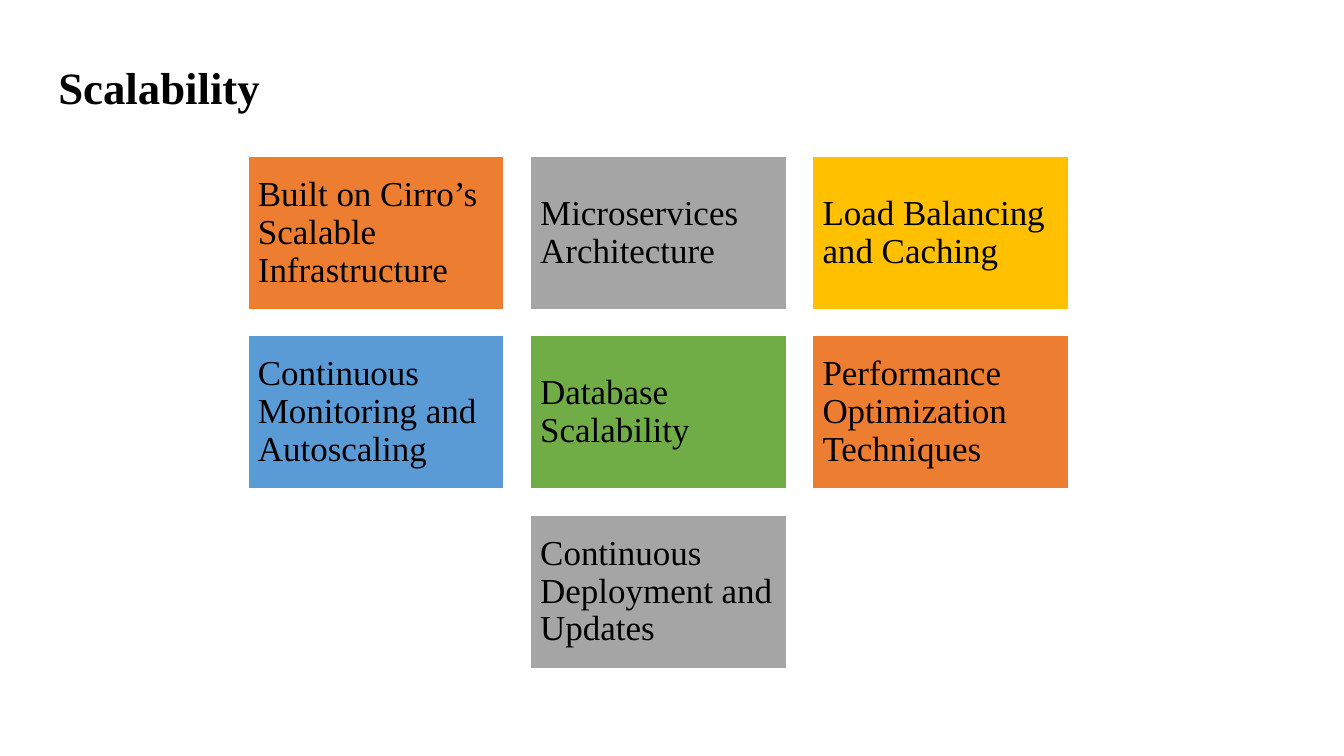
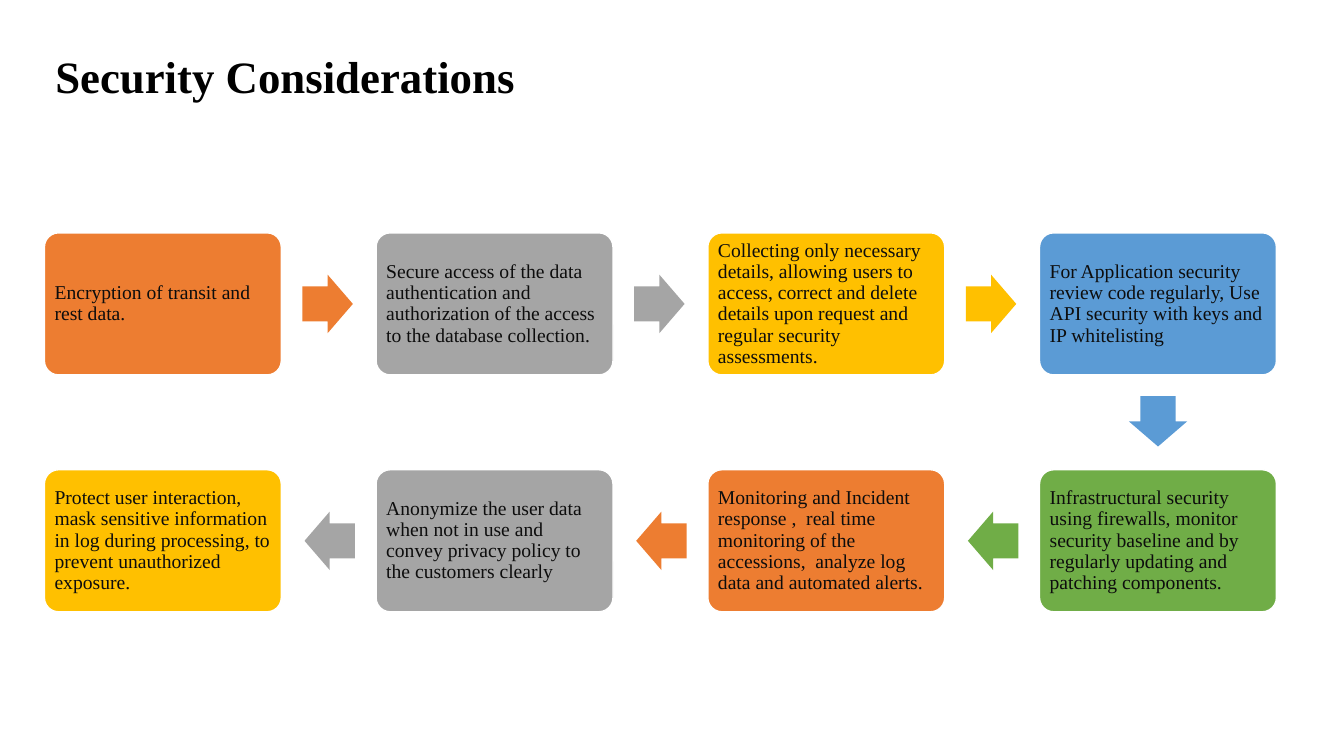
from itertools import cycle

from pptx import Presentation
from pptx import util as u
from pptx.dml.color import RGBColor
from pptx.enum import shapes, text

BLACK = RGBColor(0x00, 0x00, 0x00)
INK = RGBColor(0x0D, 0x0D, 0x0D)
WHITE = RGBColor(0xFF, 0xFF, 0xFF)
PALETTE = [
    RGBColor(0xED, 0x7D, 0x31),  # orange
    RGBColor(0xA5, 0xA5, 0xA5),  # grey
    RGBColor(0xFF, 0xC0, 0x00),  # yellow
    RGBColor(0x5B, 0x9B, 0xD5),  # blue
    RGBColor(0x70, 0xAD, 0x47),  # green
]
FONT = "Times New Roman"

SCALABILITY = [
    "Built on Cirro’s Scalable Infrastructure",
    "Microservices Architecture",
    "Load Balancing and Caching",
    "Continuous Monitoring and Autoscaling",
    "Database Scalability",
    "Performance Optimization Techniques",
    "Continuous Deployment and Updates",
]
SECURITY = [
    "Encryption of transit and rest data.",
    "Secure access of the data authentication and authorization of the access "
    "to the database collection.",
    "Collecting only necessary details, allowing users to access, correct and "
    "delete details upon request and regular security assessments.",
    "For Application security review code regularly, Use API security with keys "
    "and IP whitelisting",
    "Infrastructural security using firewalls, monitor security baseline and by "
    "regularly updating and patching components.",
    "Monitoring and Incident response ,  real time monitoring of the accessions,  "
    "analyze log data and automated alerts.",
    "Anonymize the user data when not in use and convey privacy policy to the "
    "customers clearly",
    "Protect user interaction, mask sensitive information in log during processing, "
    "to prevent unauthorized exposure.",
]

# Grids, in inches
CARD_COLS, CARD_LEFT, CARD_TOP = 3, 2.46, 1.55
CARD_W, CARD_H, CARD_GAP = 2.54, 1.52, 0.26
STEP_COLS, STEP_LEFT, STEP_TOP = 4, 0.44, 2.31
STEP_W, STEP_H, STEP_DX, STEP_DY = 2.35, 1.41, 3.29, 2.35
ARROW_L, ARROW_W, ARROW_GAP = 0.5, 0.58, 0.21


def write(sp, words, size, color, inset, bold=False, spacing=None):
    tf = sp.text_frame
    tf.word_wrap = True
    tf.margin_left = tf.margin_right = u.Inches(inset)
    tf.margin_top = tf.margin_bottom = u.Inches(inset)
    p = tf.paragraphs[0]
    p.alignment = text.PP_ALIGN.LEFT
    p.line_spacing = spacing
    r = p.add_run()
    r.text = words
    r.font.name, r.font.size, r.font.bold = FONT, u.Pt(size), bold
    r.font.color.rgb = color
    return tf


def add_title(s, words, left, top):
    sp = s.shapes.add_textbox(*map(u.Inches, (left, top, 9.6, 0.63)))
    tf = write(sp, words, 32, BLACK, 0.1, bold=True)
    tf.margin_top = u.Inches(0.14)


def add_block(s, kind, box, fill, outlined=True):
    sp = s.shapes.add_shape(kind, *map(u.Inches, box))
    sp.shadow.inherit = False
    sp.fill.solid()
    sp.fill.fore_color.rgb = fill
    if outlined:
        sp.line.color.rgb = WHITE
        sp.line.width = u.Pt(1)
    else:
        sp.line.fill.background()
    return sp


def add_arrow(s, box, dx, dy, fill):
    """Arrow leaving a box in the unit direction (dx, dy)."""
    x, y, w, h = box
    reach = ARROW_GAP + ARROW_L / 2
    cx = x + w / 2 + dx * (w / 2 + reach)
    cy = y + h / 2 + dy * (h / 2 + reach)
    sp = add_block(s, shapes.MSO_SHAPE.RIGHT_ARROW,
                   (cx - ARROW_L / 2, cy - ARROW_W / 2, ARROW_L, ARROW_W),
                   fill, outlined=False)
    sp.adjustments[0], sp.adjustments[1] = 0.6, 0.5
    sp.rotation = 90 if dy else 180 if dx < 0 else 0


def scalability_slide(s):
    """Grid of cards whose incomplete last row is centred."""
    add_title(s, "Scalability", 0.48, 0.45)
    for i, (words, fill) in enumerate(zip(SCALABILITY, cycle(PALETTE))):
        row, col = divmod(i, CARD_COLS)
        in_row = min(CARD_COLS, len(SCALABILITY) - row * CARD_COLS)
        col += (CARD_COLS - in_row) / 2
        box = (CARD_LEFT + col * (CARD_W + CARD_GAP),
               CARD_TOP + row * (CARD_H + CARD_GAP), CARD_W, CARD_H)
        sp = add_block(s, shapes.MSO_SHAPE.RECTANGLE, box, fill)
        tf = write(sp, words, 25, BLACK, 0.1, spacing=0.9)
        tf.vertical_anchor = text.MSO_ANCHOR.MIDDLE


def security_slide(s):
    """Steps run right along the first row, then back along the second."""
    add_title(s, "Security Considerations", 0.45, 0.34)
    for i, (words, fill) in enumerate(zip(SECURITY, cycle(PALETTE))):
        row, place = divmod(i, STEP_COLS)
        col = STEP_COLS - 1 - place if row % 2 else place
        box = (STEP_LEFT + col * STEP_DX, STEP_TOP + row * STEP_DY, STEP_W, STEP_H)
        sp = add_block(s, shapes.MSO_SHAPE.ROUNDED_RECTANGLE, box, fill)
        sp.adjustments[0] = 0.1
        tf = write(sp, words, 14, INK, 0.06, spacing=0.9)
        tf.vertical_anchor = text.MSO_ANCHOR.MIDDLE
        if i < len(SECURITY) - 1:
            turns = place == STEP_COLS - 1
            dx, dy = (0, 1) if turns else (-1 if row % 2 else 1, 0)
            add_arrow(s, box, dx, dy, fill)


def main():
    prs = Presentation()
    prs.slide_width, prs.slide_height = u.Inches(13.33), u.Inches(7.5)
    for build in (scalability_slide, security_slide):
        build(prs.slides.add_slide(prs.slide_layouts[6]))
    prs.save("out.pptx")


if __name__ == "__main__":
    main()
